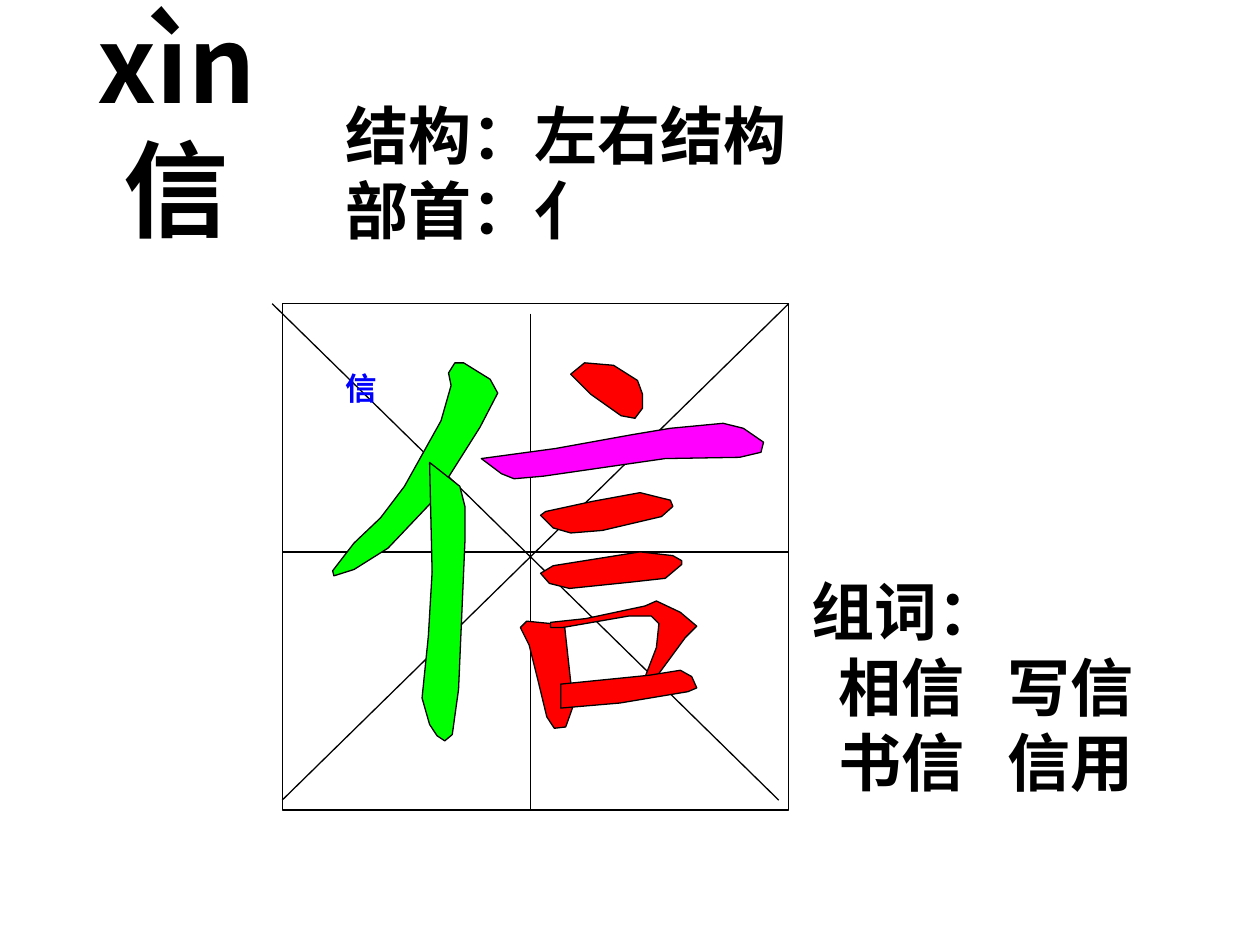
"""Build a Chinese character lesson slide for 信 with its strokes on a practice grid."""
import lxml.etree
import pptx
import pptx.dml.color
import pptx.enum.shapes
import pptx.enum.text
import pptx.oxml.ns
import pptx.util

Inches = pptx.util.Inches
Pt = pptx.util.Pt
qn = pptx.oxml.ns.qn
FONT = "Noto Sans CJK SC"
BLACK, BLUE, GREEN, RED, MAGENTA = "000000", "0000FF", "00FF00", "FF0000", "FF00FF"


def color(value):
    return pptx.dml.color.RGBColor.from_string(value)


def add_text(page, place, text, size, ink=BLACK, centered=False, middle=True, wrap=True, tabs=()):
    box = page.shapes.add_textbox(*[Inches(length) for length in place])
    frame = box.text_frame
    frame.word_wrap = wrap
    if middle:
        frame.vertical_anchor = pptx.enum.text.MSO_ANCHOR.MIDDLE
    para = frame.paragraphs[0]
    para.text = text
    if centered:
        para.alignment = pptx.enum.text.PP_ALIGN.CENTER
    if tabs:
        stops = lxml.etree.SubElement(para._p.get_or_add_pPr(), qn("a:tabLst"))
        for position in tabs:
            lxml.etree.SubElement(stops, qn("a:tab"), pos=str(Inches(position)), algn="l")
    para.font.size = Pt(size)
    para.font.bold = True
    para.font.color.rgb = color(ink)
    para.font.name = FONT
    lxml.etree.SubElement(para.font._element, qn("a:ea"), typeface=FONT)


deck = pptx.Presentation()
deck.slide_width, deck.slide_height = Inches(10), Inches(7.5)
page = deck.slides.add_slide(deck.slide_layouts[6])

add_text(page, (0, 0, 2.8, 1.97), "xìn\v信", 60, centered=True)

left, top, side = 2.24, 2.41, 4.02
right, bottom = left + side, top + side
square = page.shapes.add_shape(
    pptx.enum.shapes.MSO_SHAPE.RECTANGLE, Inches(left), Inches(top), Inches(side), Inches(side))
square.shadow.inherit = False
square.fill.solid()
square.fill.fore_color.rgb = color("FFFFFF")
square.line.color.rgb = color(BLACK)
square.line.width = Pt(0.75)

guides = [
    (2.16, top, 6.18, 6.35),
    (left, 6.35, right, top),
    (left, 4.38, right, 4.38),
    (4.21, 2.49, 4.21, bottom),
]
for ends in guides:
    guide = page.shapes.add_connector(
        pptx.enum.shapes.MSO_CONNECTOR.STRAIGHT, *[Inches(length) for length in ends])
    guide.line.color.rgb = color(BLACK)
    guide.line.width = Pt(0.75)
    lxml.etree.SubElement(guide._element.spPr, qn("a:effectLst"))

add_text(page, (2.64, 2.88, 3.4, 3.01), "信", 18, BLUE, middle=False, wrap=False)

strokes = [
    (GREEN, [
        (381, 339), (345, 396), (308, 435), (281, 452), (265, 457), (264, 453), (281, 431),
        (302, 411), (321, 386), (350, 334), (358, 306), (356, 296), (361, 288), (368, 288),
        (389, 301), (395, 312)]),
    (GREEN, [
        (341, 575), (335, 554), (340, 505), (343, 454), (341, 367), (365, 386), (369, 402),
        (369, 430), (364, 547), (359, 583), (353, 588), (347, 584)]),
    (RED, [
        (453, 297), (464, 288), (487, 290), (506, 302), (510, 313), (510, 324), (504, 332),
        (493, 330), (469, 313)]),
    (RED, [
        (470, 398), (508, 391), (532, 397), (534, 402), (525, 410), (478, 421), (453, 423),
        (439, 419), (429, 409), (433, 406)]),
    (RED, [
        (429, 455), (439, 449), (508, 438), (534, 441), (541, 445), (541, 448), (528, 459),
        (501, 462), (452, 467), (436, 463)]),
    (RED, [
        (427, 540), (420, 512), (413, 498), (418, 493), (448, 496), (455, 560), (449, 577),
        (440, 578), (434, 569)]),
    (RED, [
        (521, 514), (523, 495), (517, 489), (499, 489), (447, 498), (437, 498), (437, 494),
        (465, 491), (512, 481), (521, 477), (540, 486), (553, 497), (544, 506), (519, 540),
        (511, 540)]),
    (RED, [
        (445, 543), (515, 536), (540, 532), (549, 537), (553, 546), (546, 549), (492, 558),
        (445, 562)]),
    (MAGENTA, [
        (502, 345), (532, 340), (574, 336), (590, 340), (606, 351), (604, 359), (587, 363),
        (528, 364), (431, 378), (408, 380), (398, 376), (382, 364), (441, 356)]),
]
for paint, points in strokes:
    builder = page.shapes.build_freeform(*points[0], scale=Inches(0.01))
    builder.add_line_segments(points[1:], close=True)
    stroke = builder.convert_to_shape()
    stroke.shadow.inherit = False
    stroke.fill.solid()
    stroke.fill.fore_color.rgb = color(paint)
    stroke.line.color.rgb = color(BLACK)
    stroke.line.width = Pt(0.75)

add_text(page, (6.34, 4.54, 3.39, 1.81), "组词：\v\t相信\t写信\v\t书信\t信用", 36, tabs=(0.22, 1.56))
add_text(page, (2.64, 0.76, 6.61, 1.21), "结构：左右结构\v部首：亻", 36)

deck.save("out.pptx")
